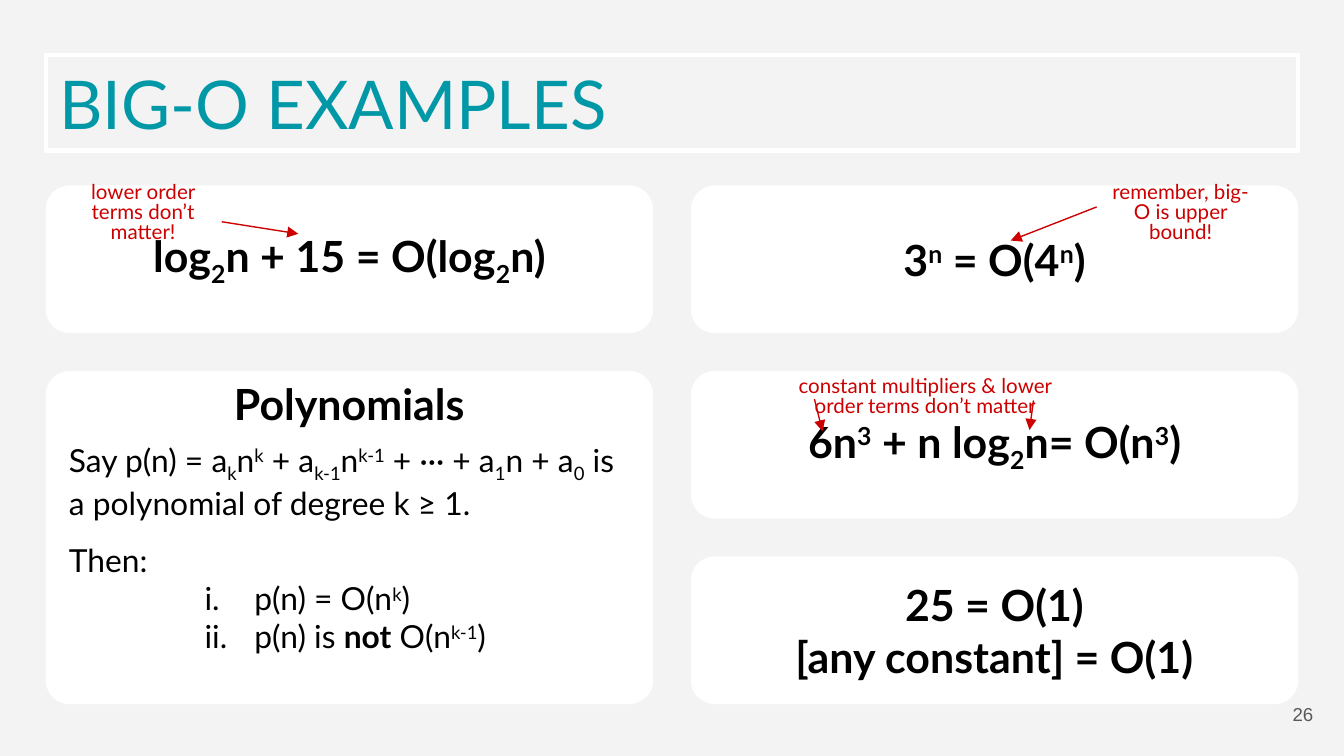
from dataclasses import dataclass

from lxml import etree
from pptx import Presentation
from pptx.dml.color import RGBColor
from pptx.enum.shapes import MSO_CONNECTOR, MSO_SHAPE
from pptx.enum.text import MSO_ANCHOR, MSO_AUTO_SIZE, PP_ALIGN
from pptx.oxml.ns import qn
from pptx.util import Inches, Pt

LEFT, CENTER, RIGHT = PP_ALIGN.LEFT, PP_ALIGN.CENTER, PP_ALIGN.RIGHT
TOP, MIDDLE = MSO_ANCHOR.TOP, MSO_ANCHOR.MIDDLE
ROUNDED, STRAIGHT = MSO_SHAPE.ROUNDED_RECTANGLE, MSO_CONNECTOR.STRAIGHT
NO_AUTOFIT = MSO_AUTO_SIZE.NONE
BASELINES = {"_": "-25000", "^": "30000"}


@dataclass(frozen=True)
class Theme:
    background: RGBColor = RGBColor(0xF3, 0xF3, 0xF3)
    card: RGBColor = RGBColor(0xFF, 0xFF, 0xFF)
    title: RGBColor = RGBColor(0x00, 0x97, 0xA7)
    text: RGBColor = RGBColor(0x00, 0x00, 0x00)
    note: RGBColor = RGBColor(0xCC, 0x00, 0x00)
    number: RGBColor = RGBColor(0x59, 0x59, 0x59)
    font: str = "Lato"
    number_font: str = "Arial"
    title_size: int = 36
    formula_size: int = 23
    body_size: int = 17
    note_size: int = 11
    number_size: int = 10


@dataclass(frozen=True)
class Box:
    left: float
    top: float
    width: float
    height: float

    def inside(self, left, top, width, height):
        return Box(self.left + left, self.top + top, width, height)

    def lengths(self):
        return [Inches(v) for v in (self.left, self.top, self.width, self.height)]


THEME = Theme()
MARGIN, GAP, FIRST_ROW = 0.34, 0.28, 1.38
CARD_WIDTH, CARD_HEIGHT = 4.52, 1.1
CORNER_RADIUS = 0.18


def grid_box(column, row, rows=1):
    pitch = CARD_HEIGHT + GAP
    return Box(MARGIN + column * (CARD_WIDTH + GAP), FIRST_ROW + row * pitch,
               CARD_WIDTH, rows * pitch - GAP)


def prepare_frame(frame, anchor, inset):
    frame.word_wrap = True
    frame.auto_size = NO_AUTOFIT
    frame.vertical_anchor = anchor
    frame.margin_left = frame.margin_right = Inches(inset)
    frame.margin_top = frame.margin_bottom = Inches(inset)


def style_paragraph(paragraph, size, color, align=LEFT, bold=False, font=THEME.font):
    paragraph.alignment = align
    paragraph.font.name = font
    paragraph.font.size = Pt(size)
    paragraph.font.bold = bold
    paragraph.font.color.rgb = color


def add_marked_runs(paragraph, markup):
    """Split at "|"; a part starting with _ is subscript, ^ superscript, * bold."""
    for part in markup.split("|"):
        run = paragraph.add_run()
        mark = part[0]
        run.text = part[1:] if mark in "_^*" else part
        if mark in BASELINES:
            run._r.get_or_add_rPr().set("baseline", BASELINES[mark])
        elif mark == "*":
            run.font.bold = True


def indent(paragraph, left, first=0, right=0):
    properties = paragraph._p.get_or_add_pPr()
    for name, length in (("marL", left), ("marR", right), ("indent", first)):
        properties.set(name, str(Inches(length)))
    return properties


def add_title(slide, box, text):
    title = slide.shapes.title
    title.left, title.top, title.width, title.height = box.lengths()
    title.line.color.rgb = THEME.card
    title.line.width = Pt(2.25)
    prepare_frame(title.text_frame, MIDDLE, 0.1)
    title.text_frame.text = text
    style_paragraph(title.text_frame.paragraphs[0], THEME.title_size, THEME.title)


def add_card(slide, box, headings, anchor=MIDDLE):
    card = slide.shapes.add_shape(ROUNDED, *box.lengths())
    card.adjustments[0] = CORNER_RADIUS / min(box.width, box.height)
    card.shadow.inherit = False
    card.fill.solid()
    card.fill.fore_color.rgb = THEME.card
    card.line.fill.background()
    frame = card.text_frame
    prepare_frame(frame, anchor, 0)
    for i, heading in enumerate(headings):
        paragraph = frame.add_paragraph() if i else frame.paragraphs[0]
        add_marked_runs(paragraph, heading)
        style_paragraph(paragraph, THEME.formula_size, THEME.text, CENTER, bold=True)
    return frame


def add_polynomial_card(slide, box):
    frame = add_card(slide, box, ["Polynomials"], TOP)
    statements = [
        ("Say p(n) = a|_k|n|^k| + a|_k-1|n|^k-1| + ··· + a|_1|n + a|_0"
         "| is a polynomial of degree k ≥ 1.", 6),
        ("Then:", 10),
    ]
    for markup, space in statements:
        paragraph = frame.add_paragraph()
        add_marked_runs(paragraph, markup)
        indent(paragraph, 0.12, right=0.12)
        paragraph.space_before = Pt(space)
        style_paragraph(paragraph, THEME.body_size, THEME.text)
    for markup in ("p(n) = O(n|^k|)", "p(n) is |*not| O(n|^k-1|)"):
        paragraph = frame.add_paragraph()
        paragraph.level = 1
        add_marked_runs(paragraph, markup)
        numbering = etree.SubElement(indent(paragraph, 1.5, -0.37), qn("a:buAutoNum"))
        numbering.set("type", "romanLcPeriod")
        style_paragraph(paragraph, THEME.body_size, THEME.text)


def add_text(slide, box, text, **style):
    frame = slide.shapes.add_textbox(*box.lengths()).text_frame
    prepare_frame(frame, MIDDLE, 0.1)
    frame.text = text
    style_paragraph(frame.paragraphs[0], **style)
    return frame.paragraphs[0]


def add_arrow(slide, card, x1, y1, x2, y2):
    ends = (card.left + x1, card.top + y1, card.left + x2, card.top + y2)
    arrow = slide.shapes.add_connector(STRAIGHT, *[Inches(v) for v in ends])
    arrow.line.color.rgb = THEME.note
    arrow.line.width = Pt(0.75)
    properties = arrow._element.spPr
    etree.SubElement(properties.find(qn("a:ln")), qn("a:tailEnd")).set("type", "triangle")
    etree.SubElement(properties, qn("a:effectLst"))


def add_noted_card(slide, card, formula, note, note_place, arrows):
    """Formula card with a remark and arrows, all measured from the card's corner."""
    add_card(slide, card, [formula])
    remark = add_text(slide, card.inside(*note_place), note,
                      size=THEME.note_size, color=THEME.note, align=CENTER)
    remark.line_spacing = 0.8
    for arrow in arrows:
        add_arrow(slide, card, *arrow)


def main():
    deck = Presentation()
    deck.slide_width = Inches(10)
    deck.slide_height = deck.slide_width * 9 // 16
    slide = deck.slides.add_slide(deck.slide_layouts[5])
    slide.background.fill.solid()
    slide.background.fill.fore_color.rgb = THEME.background

    add_title(slide, Box(MARGIN, 0.41, 2 * CARD_WIDTH + GAP, 0.71), "BIG-O EXAMPLES")
    add_polynomial_card(slide, grid_box(0, 1, rows=2))
    add_noted_card(slide, grid_box(0, 0), "log|_2|n + 15 = O(log|_2|n)",
                   "lower order terms don’t matter!", (0.06, -0.06, 1.33, 0.54),
                   [(1.31, 0.27, 1.88, 0.36)])
    add_noted_card(slide, grid_box(1, 0), "3|^n| = O(4|^n|)",
                   "remember, big-O is upper bound!", (2.98, 0.05, 1.33, 0.32),
                   [(3.02, 0.16, 2.38, 0.41)])
    add_noted_card(slide, grid_box(1, 1), "6n|^3| + n log|_2|n= O(n|^3|)",
                   "constant multipliers & lower order terms don’t matter",
                   (0.69, 0.04, 2.11, 0.32),
                   [(0.92, 0.21, 0.98, 0.45), (2.55, 0.22, 2.52, 0.44)])
    add_card(slide, grid_box(1, 2), ["25 = O(1)", "[any constant] = O(1)"])
    add_text(slide, Box(9.27, 5.1, 0.6, 0.43), "26", size=THEME.number_size,
             color=THEME.number, align=RIGHT, font=THEME.number_font)
    deck.save("out.pptx")


if __name__ == "__main__":
    main()
